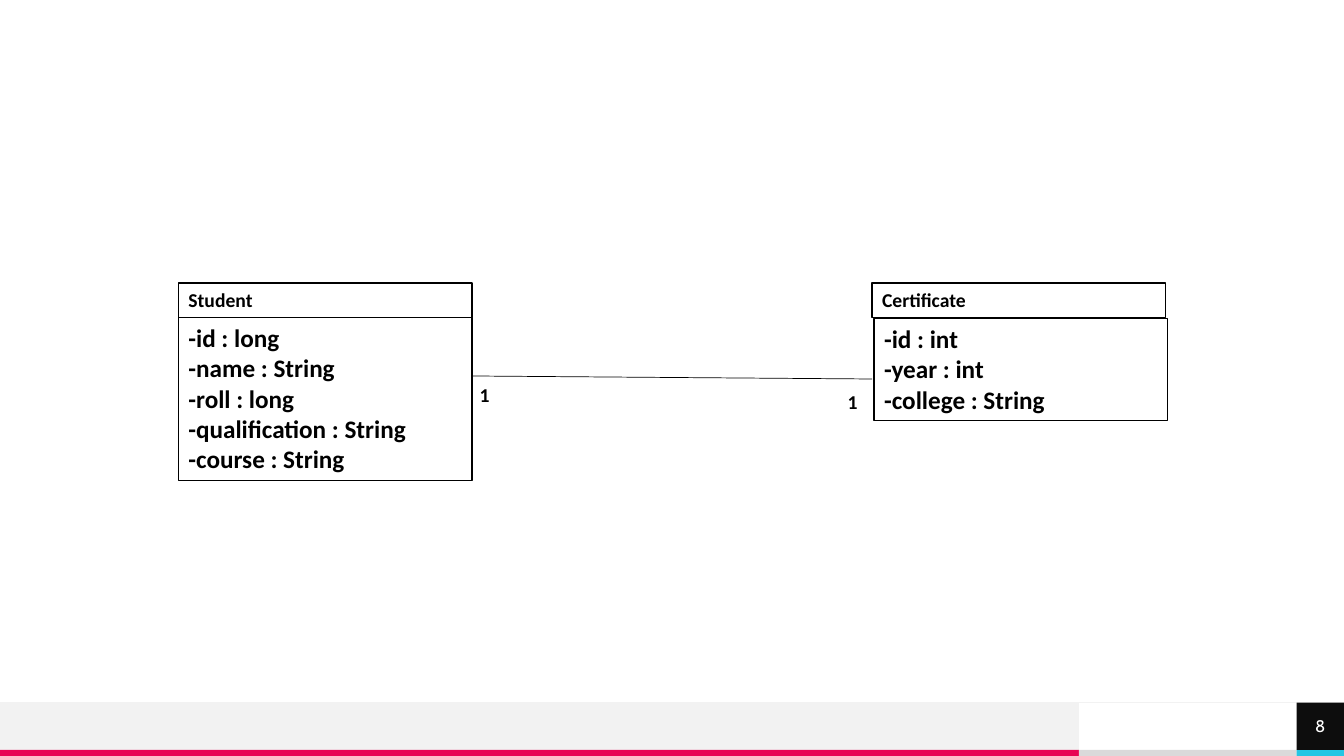
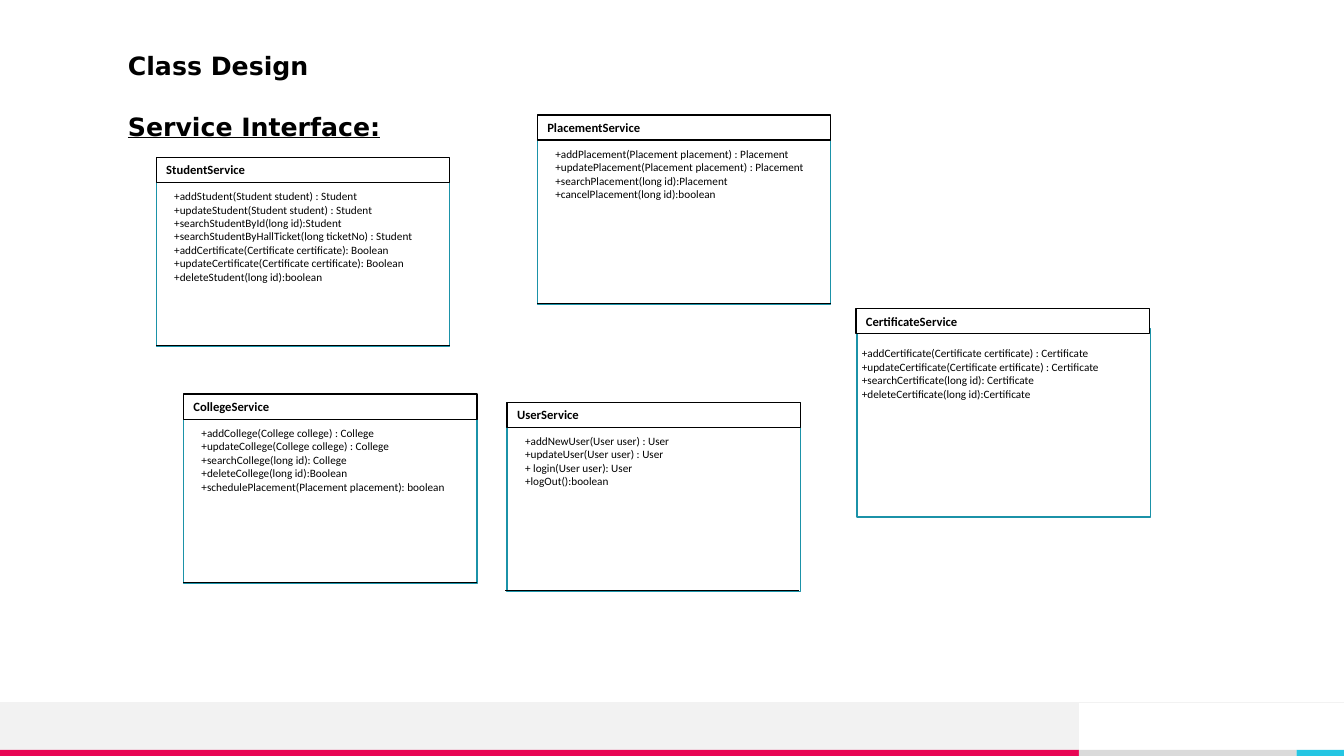
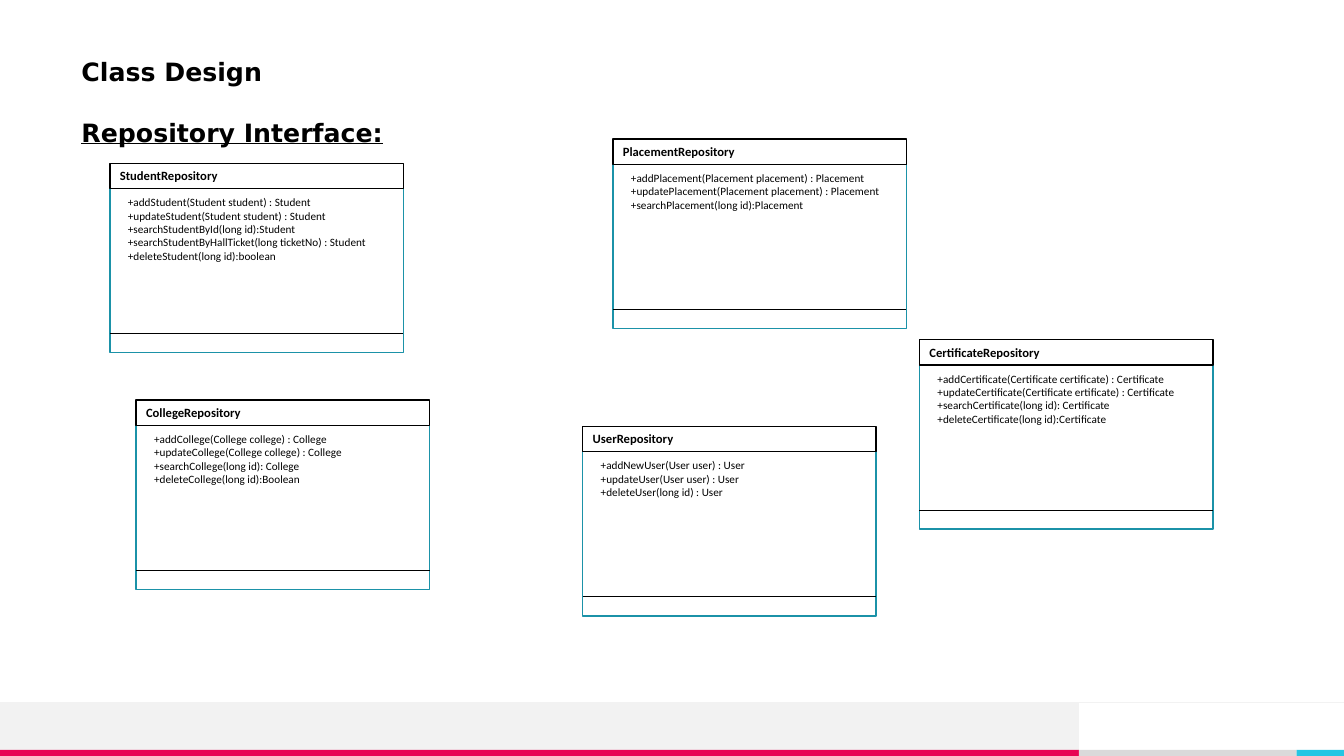
import pptx
import pptx.dml.color
import pptx.enum.shapes
import pptx.enum.text
import pptx.oxml.ns
import pptx.util
from lxml import etree

Inches = pptx.util.Inches
Pt = pptx.util.Pt
RECT = pptx.enum.shapes.MSO_SHAPE.RECTANGLE
MIDDLE = pptx.enum.text.MSO_ANCHOR.MIDDLE
TOP = pptx.enum.text.MSO_ANCHOR.TOP
LEFT = pptx.enum.text.PP_ALIGN.LEFT
CENTER = pptx.enum.text.PP_ALIGN.CENTER

SLIDE_W, SLIDE_H = 13.33, 7.5
BLACK, WHITE = "000000", "FFFFFF"
TEAL, CYAN, PINK = "1B92A8", "25C6E3", "E80554"
PALE, GREY, INK = "F2F2F2", "DADADA", "0D0D0D"
BODY, HEADING, NUMBERS = "Calibri", "DejaVu Sans", "Cabin"
CLASS_W, NAME_H, FRAME_H = 2.91, 0.25, 1.87
FOOTER_Y, FOOTER_H, STRIP_Y = 6.97, 0.47, 7.44
BAND_W, NUMBER_X = 10.7, 12.86

SERVICES = [
    (1.55, 1.56, "StudentService", [
        "+addStudent(Student student) : Student",
        "+updateStudent(Student student) : Student",
        "+searchStudentById(long id):Student",
        "+searchStudentByHallTicket(long ticketNo) : Student",
        "+addCertificate(Certificate certificate): Boolean",
        "+updateCertificate(Certificate certificate): Boolean",
        "+deleteStudent(long id):boolean"], {}),
    (5.33, 1.14, "PlacementService", [
        "+addPlacement(Placement placement) : Placement",
        "+updatePlacement(Placement placement) : Placement",
        "+searchPlacement(long id):Placement",
        "+cancelPlacement(long id):boolean"], {}),
    (1.82, 3.91, "CollegeService", [
        "+addCollege(College college) : College",
        "+updateCollege(College college) : College",
        "+searchCollege(long id): College",
        "+deleteCollege(long id):Boolean",
        "+schedulePlacement(Placement placement): boolean"], {}),
    (5.03, 3.99, "UserService", [
        "+addNewUser(User user) : User",
        "+updateUser(User user) : User",
        "+ login(User user): User",
        "+logOut():boolean"], {"rule_dx": -0.02}),
    (8.49, 3.06, "CertificateService", [
        "+addCertificate(Certificate certificate) : Certificate",
        "+updateCertificate(Certificate ertificate) : Certificate",
        "+searchCertificate(long id): Certificate",
        "+deleteCertificate(long id):Certificate"],
        {"frame": (0.01, 0.2), "methods_at": (-0.04, 0.33), "rule_dy": None}),
]

REPOSITORIES = [
    (1.09, 1.62, "StudentRepository", [
        "+addStudent(Student student) : Student",
        "+updateStudent(Student student) : Student",
        "+searchStudentById(long id):Student",
        "+searchStudentByHallTicket(long ticketNo) : Student",
        "+deleteStudent(long id):boolean"], {}),
    (6.08, 1.38, "PlacementRepository", [
        "+addPlacement(Placement placement) : Placement",
        "+updatePlacement(Placement placement) : Placement",
        "+searchPlacement(long id):Placement"], {}),
    (1.35, 3.97, "CollegeRepository", [
        "+addCollege(College college) : College",
        "+updateCollege(College college) : College",
        "+searchCollege(long id): College",
        "+deleteCollege(long id):Boolean"], {}),
    (5.78, 4.23, "UserRepository", [
        "+addNewUser(User user) : User",
        "+updateUser(User user) : User",
        "+deleteUser(long id) : User"], {}),
    (9.12, 3.37, "CertificateRepository", [
        "+addCertificate(Certificate certificate) : Certificate",
        "+updateCertificate(Certificate ertificate) : Certificate",
        "+searchCertificate(long id): Certificate",
        "+deleteCertificate(long id):Certificate"], {}),
]


def rgb(value):
    """Turn a hex string into a colour."""
    return pptx.dml.color.RGBColor.from_string(value)


def write(sp, text, size, font=BODY, color=BLACK, bold=False, underline=False,
          align=LEFT, anchor=TOP, wrap=True):
    """Fill a shape with evenly formatted text."""
    tf = sp.text_frame
    tf.text = text
    tf.word_wrap = wrap
    tf.vertical_anchor = anchor
    for p in tf.paragraphs:
        p.alignment = align
        for r in p.runs:
            r.font.size = Pt(size)
            r.font.name = font
            r.font.color.rgb = rgb(color)
            r.font.bold = bold
            r.font.underline = underline


def add_rect(slide, x, y, w, h, fill=None, line=None):
    """Add a flat rectangle with an optional fill and outline."""
    sp = slide.shapes.add_shape(RECT, Inches(x), Inches(y), Inches(w), Inches(h))
    sp.shadow.inherit = False
    if fill:
        sp.fill.solid()
        sp.fill.fore_color.rgb = rgb(fill)
    else:
        sp.fill.background()
    if line:
        sp.line.color.rgb = rgb(line)
        sp.line.width = Pt(1)
    else:
        sp.line.fill.background()
    return sp


def add_text(slide, x, y, w, h, text, size, **options):
    """Add a text box."""
    sp = slide.shapes.add_textbox(Inches(x), Inches(y), Inches(w), Inches(h))
    write(sp, text, size, **options)


def add_line(slide, x1, y1, x2, y2, color=BLACK):
    """Add a thin straight line without a shadow."""
    cxn = slide.shapes.add_connector(
        pptx.enum.shapes.MSO_CONNECTOR.STRAIGHT,
        Inches(x1), Inches(y1), Inches(x2), Inches(y2))
    cxn.line.color.rgb = rgb(color)
    cxn.line.width = Pt(0.5)
    sp_pr = cxn._element.find(pptx.oxml.ns.qn("p:spPr"))
    etree.SubElement(sp_pr, pptx.oxml.ns.qn("a:effectLst"))


def add_footer(slide, number=None):
    """Add the footer band, its coloured strip and an optional slide number."""
    add_rect(slide, 0, FOOTER_Y, BAND_W, FOOTER_H, PALE)
    edges = [0, BAND_W, NUMBER_X, SLIDE_W]
    for left, right, color in zip(edges, edges[1:], (PINK, GREY, CYAN)):
        add_rect(slide, left, STRIP_Y, right - left, SLIDE_H - STRIP_Y, color)
    add_line(slide, SLIDE_W, FOOTER_Y, 0, FOOTER_Y, PALE)
    if number:
        sp = add_rect(slide, NUMBER_X, FOOTER_Y, SLIDE_W - NUMBER_X, FOOTER_H, INK)
        tf = sp.text_frame
        tf.margin_left = tf.margin_right = tf.margin_top = tf.margin_bottom = 0
        write(sp, number, 12, NUMBERS, WHITE, align=CENTER, anchor=MIDDLE)


def add_titles(slide, x, y, subtitle):
    """Add the title and the underlined subtitle below it."""
    add_text(slide, x, y, 1.99, 0.4, "Class Design", 18, font=HEADING, bold=True,
             wrap=False)
    add_text(slide, x, y + 0.6, 7.63, 0.4, subtitle, 18, font=HEADING, bold=True,
             underline=True, anchor=MIDDLE)


def add_entity(slide, x, y, name, fields, h, shift=(0, 0.34)):
    """Add an entity: a name box and a box of fields."""
    write(add_rect(slide, x, y, CLASS_W, 0.34, WHITE, BLACK), name, 14, bold=True)
    sp = add_rect(slide, x + shift[0], y + shift[1], CLASS_W, h, WHITE, BLACK)
    write(sp, "\n".join(fields), 18, bold=True)


def add_interface(slide, x, y, name, methods, rule_dy, rule_dx=0,
                  frame=(0, 0.01), methods_at=(0.08, 0.27)):
    """Add an interface: frame, name, methods and a closing rule."""
    add_rect(slide, x + frame[0], y + frame[1], CLASS_W, FRAME_H, line=TEAL)
    sp = add_rect(slide, x, y, CLASS_W, NAME_H, WHITE, BLACK)
    write(sp, name, 9, bold=True)
    add_text(slide, x + methods_at[0], y + methods_at[1], 2.73, 1.18,
             "\n".join(methods), 8)
    if rule_dy:
        left = x + rule_dx
        add_line(slide, left, y + rule_dy, left + CLASS_W, y + rule_dy)


def entity_slide(slide):
    """Build the one-to-one relation of two entities."""
    add_footer(slide, "8")
    add_entity(slide, 1.77, 2.81, "Student", [
        "-id : long", "-name : String", "-roll : long",
        "-qualification : String", "-course : String"], 1.62)
    add_entity(slide, 8.65, 2.81, "Certificate", [
        "-id : int", "-year : int", "-college : String"], 1.01, (0.02, 0.35))
    add_line(slide, 4.68, 3.73, 8.65, 3.76)
    for x, y in ((4.66, 3.75), (8.31, 3.82)):
        add_text(slide, x, y, 0.34, 0.34, "1", 14, bold=True)


def interface_slide(slide, x, y, subtitle, interfaces, rule_dy):
    """Build a titled slide of interfaces."""
    add_footer(slide)
    add_titles(slide, x, y, subtitle)
    for left, top, name, methods, options in interfaces:
        add_interface(slide, left, top, name, methods,
                      **{"rule_dy": rule_dy, **options})


def main():
    """Build and save the presentation."""
    prs = pptx.Presentation()
    prs.slide_width, prs.slide_height = Inches(SLIDE_W), Inches(SLIDE_H)
    entities, services, repositories = (
        prs.slides.add_slide(prs.slide_layouts[6]) for _ in range(3))
    entity_slide(entities)
    interface_slide(services, 1.17, 0.45, "Service Interface:", SERVICES, 1.87)
    interface_slide(repositories, 0.71, 0.51, "Repository Interface:",
                    REPOSITORIES, 1.69)
    prs.save("out.pptx")


if __name__ == "__main__":
    main()
